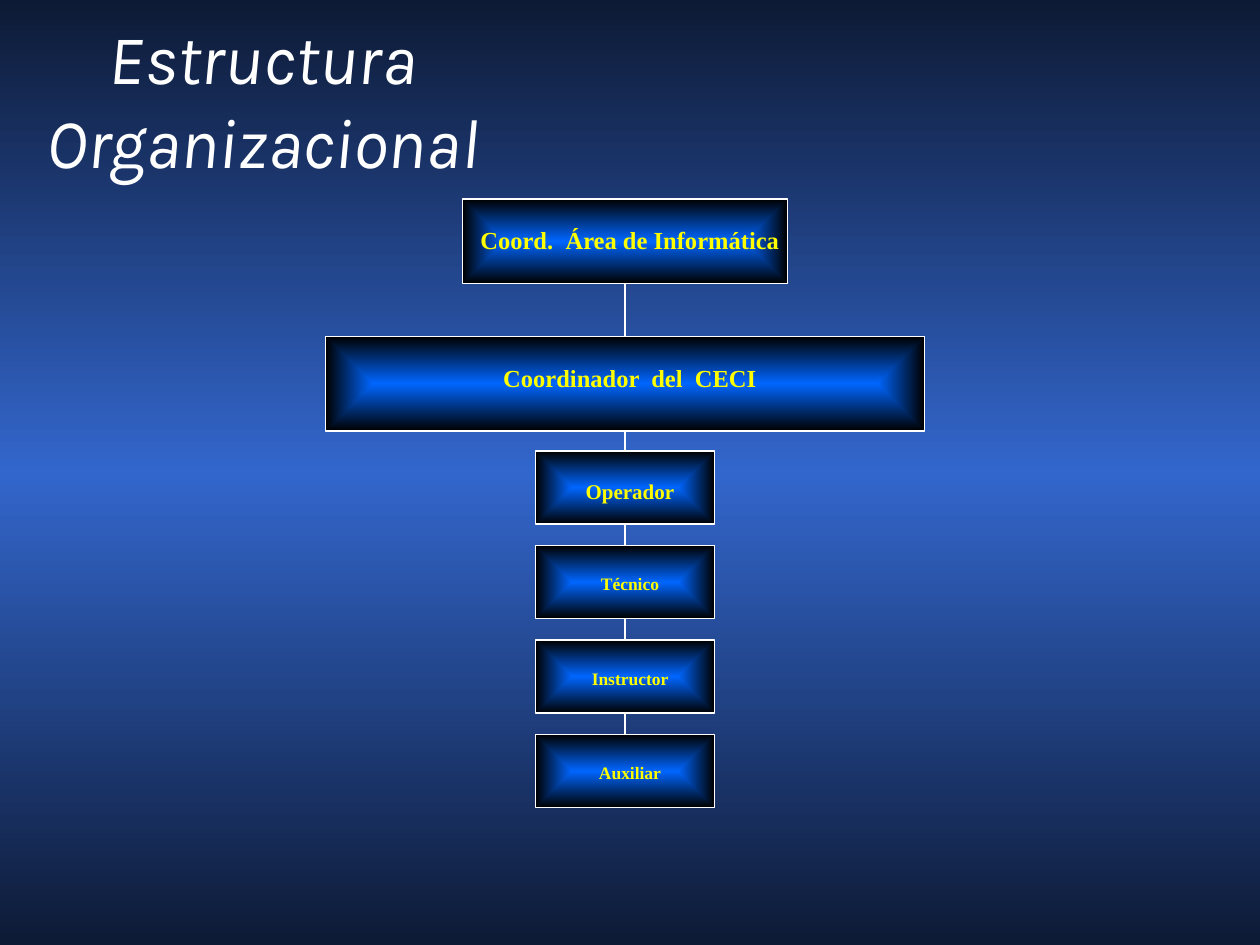
"""Build a one-slide organisation chart on a blue gradient."""
from itertools import pairwise

from lxml import etree
from pptx import Presentation
from pptx.dml.color import RGBColor
from pptx.enum.shapes import MSO_CONNECTOR, MSO_SHAPE
from pptx.enum.text import MSO_ANCHOR, PP_ALIGN
from pptx.oxml import parse_xml
from pptx.oxml.ns import nsdecls, qn
from pptx.util import Inches, Pt

RECTANGLE = MSO_SHAPE.RECTANGLE
STRAIGHT = MSO_CONNECTOR.STRAIGHT
CENTER = PP_ALIGN.CENTER
TOP, BOTTOM = MSO_ANCHOR.TOP, MSO_ANCHOR.BOTTOM
BOTTOM_SIDE, TOP_SIDE = 2, 0

WHITE = RGBColor(0xFF, 0xFF, 0xFF)
YELLOW = RGBColor(0xFF, 0xFF, 0x00)
BLACK = RGBColor(0x00, 0x00, 0x00)
GLOW = RGBColor(0x00, 0x66, 0xFF)
NAVY = RGBColor(0x0D, 0x1A, 0x35)
BLUE = RGBColor(0x33, 0x66, 0xCC)
SILVER = RGBColor(0xDD, 0xDD, 0xDD)

WIDTH, HEIGHT = 10, 7.5
BOX_CENTER, LABEL_CENTER = 4.96, 5
LINE_WIDTH = Pt(0.75)
STAFF_TOP, STAFF_STEP, STAFF_SIZE = 3.58, 0.75, (1.42, 0.58)
STAFF_LABEL_DROP = 0.17

TITLE = "Estructura Organizacional"
TITLE_FRAME = (-0.25, 0.08, 4.67, 1.42)
TITLE_FONT = {"name": "Karla", "size": Pt(40), "italic": True}
LABEL_FONT = {"name": "Times New Roman", "bold": True}

LEADERS = [
    {"text": "Coord.  Área de Informática", "top": 1.58, "size": (2.58, 0.67),
     "label_top": 1.74, "label_width": 2.74},
    {"text": "Coordinador  del  CECI", "top": 2.67, "size": (4.75, 0.75),
     "label_top": 2.83, "label_width": 5.17},
]
STAFF = [("Operador", 12), ("Técnico", 10), ("Instructor", 10), ("Auxiliar", 10)]

LINEAR = '<a:lin ang="5400000" scaled="0"/>'
FROM_CENTER = ('<a:path path="rect"><a:fillToRect l="50000" t="50000" '
               'r="50000" b="50000"/></a:path>')


def set_gradient(owner, fill, colors, direction):
    """Fill with evenly spaced colours along the given direction."""
    fill.gradient()
    stops = "".join(
        f'<a:gs pos="{100000 * index // (len(colors) - 1)}"><a:srgbClr val="{color}"/></a:gs>'
        for index, color in enumerate(colors))
    gradient = parse_xml(f'<a:gradFill {nsdecls("a")} rotWithShape="1">'
                         f'<a:gsLst>{stops}</a:gsLst>{direction}</a:gradFill>')
    default = owner.find(".//" + qn("a:gradFill"))
    default.getparent().replace(default, gradient)


def add_text(page, text, frame, font, color, anchor=TOP, shadow=None):
    """Add one centred line of text, optionally with a hard shadow."""
    box = page.shapes.add_textbox(*map(Inches, frame))
    box.text_frame.word_wrap = True
    box.text_frame.vertical_anchor = anchor
    para = box.text_frame.paragraphs[0]
    para.alignment = CENTER
    span = para.add_run()
    span.text = text
    for name, value in font.items():
        setattr(span.font, name, value)
    span.font.color.rgb = color
    if shadow is not None:
        effect = parse_xml(
            f'<a:effectLst {nsdecls("a")}><a:outerShdw dist="17961" dir="2700000">'
            f'<a:srgbClr val="{shadow}"/></a:outerShdw></a:effectLst>')
        span.font.fill.solid()
        span.font.color.rgb = color
        span.font._element.find(qn("a:solidFill")).addnext(effect)


def add_box(page, top, size):
    """Add a glowing rectangle centred on the chart's axis."""
    width, height = size
    box = page.shapes.add_shape(
        RECTANGLE, *map(Inches, (BOX_CENTER - width / 2, top, width, height)))
    box.shadow.inherit = False
    set_gradient(box.element, box.fill, [GLOW, BLACK], FROM_CENTER)
    box.line.color.rgb = WHITE
    box.line.width = LINE_WIDTH
    return box


def add_label(page, text, top, width, points, shadow=None):
    """Add a yellow label centred on the label axis."""
    frame = (LABEL_CENTER - width / 2, top, width, 0.33)
    add_text(page, text, frame, {**LABEL_FONT, "size": Pt(points)}, YELLOW, shadow=shadow)


def join(page, upper, lower):
    """Connect the bottom of one box to the top of the next."""
    link = page.shapes.add_connector(STRAIGHT, 0, 0, 0, 0)
    link.begin_connect(upper, BOTTOM_SIDE)
    link.end_connect(lower, TOP_SIDE)
    link.line.color.rgb = WHITE
    link.line.width = LINE_WIDTH
    etree.SubElement(link.element.spPr, qn("a:effectLst"))


def main():
    """Assemble and save the deck."""
    deck = Presentation()
    deck.slide_width, deck.slide_height = Inches(WIDTH), Inches(HEIGHT)
    page = deck.slides.add_slide(deck.slide_layouts[6])
    set_gradient(page.element, page.background.fill, [NAVY, BLUE, NAVY], LINEAR)
    add_text(page, TITLE, TITLE_FRAME, TITLE_FONT, WHITE, BOTTOM, SILVER)

    boxes = []
    for leader in LEADERS:
        boxes.append(add_box(page, leader["top"], leader["size"]))
        add_label(page, leader["text"], leader["label_top"], leader["label_width"], 14)
    for row, (text, points) in enumerate(STAFF):
        top = STAFF_TOP + row * STAFF_STEP
        boxes.append(add_box(page, top, STAFF_SIZE))
        add_label(page, text, top + STAFF_LABEL_DROP, 1.58, points, BLACK)
    for upper, lower in pairwise(boxes):
        join(page, upper, lower)
    deck.save("out.pptx")


if __name__ == "__main__":
    main()
